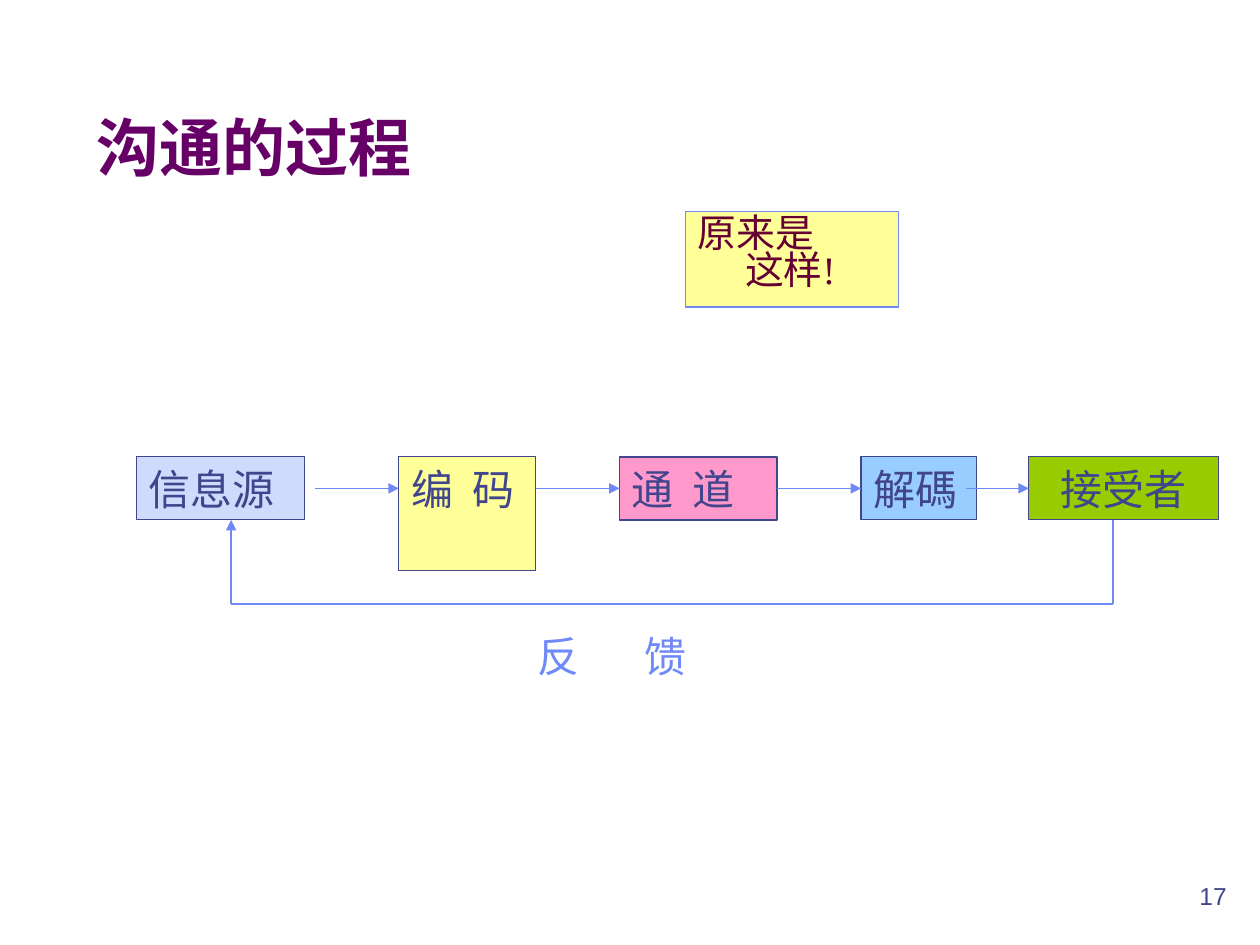
from dataclasses import dataclass
from pptx import Presentation
from pptx.dml.color import RGBColor
from pptx.enum.shapes import MSO_CONNECTOR, MSO_SHAPE
from pptx.enum.text import MSO_ANCHOR, PP_ALIGN
from pptx.oxml.ns import qn
from pptx.util import Cm, Pt
from lxml.etree import SubElement


@dataclass(frozen=True)
class Theme:
    ink: str = "40458C"
    accent: str = "6F89F7"
    title: str = "660066"
    remark: str = "660033"
    lavender: str = "CFDBFD"
    yellow: str = "FFFF99"
    pink: str = "FF99CC"
    sky: str = "99CCFF"
    green: str = "99CC00"
    title_size: float = 36
    body_size: float = 24
    remark_size: float = 22.2
    number_size: float = 14
    sans: str = "Arial"
    serif: str = "Times New Roman"
    asian: str = "Noto Sans CJK JP"


theme = Theme()


def set_attributes(target, values):
    for name, value in values.items():
        setattr(target, name, value)


def place(shape, box):
    set_attributes(shape, dict(zip(("left", "top", "width", "height"), map(Cm, box))))


def write(shape, text, size, color, font, bold=False, tab=None, frame=None, **layout):
    set_attributes(shape.text_frame, {"word_wrap": True, "vertical_anchor": MSO_ANCHOR.TOP} | (frame or {}))
    paragraph = shape.text_frame.paragraphs[0]
    paragraph.text = text
    if tab:
        tabs = SubElement(paragraph._p.get_or_add_pPr(), qn("a:tabLst"))
        SubElement(tabs, qn("a:tab"), pos=str(Cm(tab)), algn="l")
    set_attributes(paragraph, {"alignment": PP_ALIGN.LEFT} | layout)
    set_attributes(paragraph.font, {"size": Pt(size), "name": font, "bold": bold})
    paragraph.font.color.rgb = RGBColor.from_string(color)
    return paragraph


def add_box(slide, box, fill, line, weight=0.75):
    shape = slide.shapes.add_shape(MSO_SHAPE.RECTANGLE, *map(Cm, box))
    shape.shadow.inherit = False
    shape.fill.solid()
    shape.fill.fore_color.rgb = RGBColor.from_string(fill)
    shape.line.color.rgb = RGBColor.from_string(line)
    shape.line.width = Pt(weight)
    return shape


def add_line(slide, start, end, arrow=True):
    connector = slide.shapes.add_connector(MSO_CONNECTOR.STRAIGHT, *map(Cm, start + end))
    connector.line.color.rgb = RGBColor.from_string(theme.accent)
    connector.line.width = Pt(1)
    if arrow:
        SubElement(connector.line._get_or_add_ln(), qn("a:tailEnd"), type="triangle")
    SubElement(connector._element.spPr, qn("a:effectLst"))


def add_title(slide, box):
    title = slide.shapes.title
    place(title, box)
    write(title, "沟通的过程", theme.title_size, theme.title, theme.sans, bold=True,
          frame={"vertical_anchor": MSO_ANCHOR.MIDDLE})


def add_process(slide, box):
    left, top, width, height = box
    steps = [
        ("信息源", 0, 3.39, height, theme.lavender, theme.serif, PP_ALIGN.LEFT, 0.75),
        ("编\t码", 5.29, 2.76, 2.29, theme.yellow, theme.serif, PP_ALIGN.LEFT, 0.75),
        ("通\t道", 9.74, 3.18, height, theme.pink, theme.asian, PP_ALIGN.LEFT, 1),
        ("解碼", 14.61, 2.33, height, theme.sky, theme.serif, PP_ALIGN.LEFT, 0.75),
        ("接受者", 17.99, 3.82, height, theme.green, theme.serif, PP_ALIGN.CENTER, 0.75),
    ]
    arrow_starts = (3.6, 8.05, 12.92, 16.73)
    for text, offset, step_width, step_height, fill, font, alignment, weight in steps:
        shape = add_box(slide, (left + offset, top, step_width, step_height), fill, theme.ink, weight)
        write(shape, text, theme.body_size, theme.ink, font, alignment=alignment,
              tab=1.23 if "\t" in text else None)
    middle = top + height / 2
    for start, step in zip(arrow_starts, steps[1:]):
        add_line(slide, (left + start, middle), (left + step[1], middle))


def add_feedback(slide, box):
    left, top, width, height = box
    right, bottom = left + width, top + height
    corners = [(right, top), (right, bottom), (left, bottom), (left, top)]
    for start, end in zip(corners, corners[1:]):
        add_line(slide, start, end, arrow=end == corners[-1])
    label = slide.shapes.add_textbox(*map(Cm, (left + 5.93, bottom + 0.42, 5.72, 1.27)))
    write(label, "反\t馈", theme.body_size, theme.accent, theme.asian, tab=2.16)


def add_remark(slide, box):
    shape = add_box(slide, box, theme.yellow, theme.accent)
    paragraph = write(shape, "原来是\v这样!", theme.remark_size, theme.remark, theme.serif, line_spacing=0.8)
    properties = paragraph._p.get_or_add_pPr()
    properties.set("marL", str(Cm(0.95)))
    properties.set("indent", str(Cm(-0.95)))


def add_page_number(slide, box):
    number = slide.shapes.add_textbox(*map(Cm, box))
    write(number, "17", theme.number_size, theme.ink, theme.sans, alignment=PP_ALIGN.RIGHT,
          frame={"vertical_anchor": MSO_ANCHOR.MIDDLE})


def main():
    presentation = Presentation()
    set_attributes(presentation, {"slide_width": Cm(25.4), "slide_height": Cm(19.05)})
    slide = presentation.slides.add_slide(presentation.slide_layouts[5])
    add_page_number(slide, (19.7, 17.53, 5.28, 1.04))
    add_title(slide, (1.7, 1.9, 9.4, 2.11))
    add_process(slide, (2.75, 9.21, 21.81, 1.27))
    add_feedback(slide, (4.66, 10.48, 17.78, 1.69))
    add_remark(slide, (13.82, 4.26, 4.3, 1.93))
    presentation.save("out.pptx")


if __name__ == "__main__":
    main()
